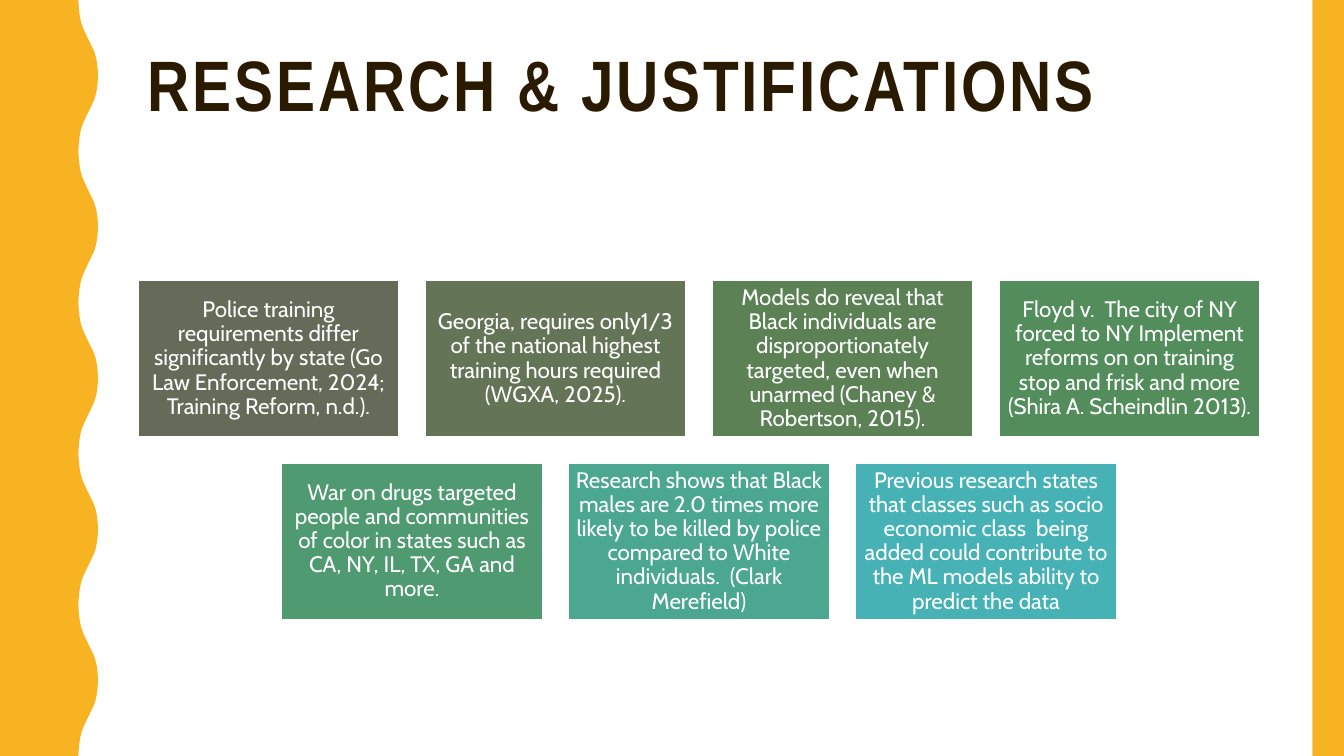
from pptx import Presentation
from pptx.dml.color import RGBColor
from pptx.enum.shapes import MSO_SHAPE
from pptx.enum.text import MSO_ANCHOR, PP_ALIGN
from pptx.util import Pt

COLORS = {
    "gold": "F8B323",
    "brown": "2A1A00",
    "white": "FFFFFF",
    "cards": ["656A59", "647557", "5B8155", "528D5B", "4F9A70", "4BA78F", "46B2B5"],
}
FINDINGS = [
    "Police training requirements differ significantly by state (Go Law Enforcement, 2024; Training Reform, n.d.).",
    "Georgia, requires only1/3 of the national highest training hours required (WGXA, 2025).",
    "Models do reveal that Black individuals are disproportionately targeted, even when unarmed (Chaney & Robertson, 2015).",
    "Floyd v.  The city of NY forced to NY Implement reforms on on training stop and frisk and more (Shira A. Scheindlin 2013).",
    "War on drugs targeted people and communities of color in states such as CA, NY, IL, TX, GA and more.",
    "Research shows that Black males are 2.0 times more likely to be killed by police compared to White individuals.  (Clark Merefield)",
    "Previous research states that classes such as socio economic class  being added could contribute to the ML models ability to predict the data",
]
SLIDE_W, SLIDE_H = 960, 540


def paint(shape, color):
    shape.shadow.inherit = False
    shape.fill.solid()
    shape.fill.fore_color.rgb = RGBColor.from_string(color)
    shape.line.fill.background()


def write(shape, text, font, size, color):
    """Put one wrapped paragraph in the shape and return its paragraph and run."""
    tf = shape.text_frame
    tf.word_wrap = True
    tf.text = text
    p = tf.paragraphs[0]
    p.line_spacing = 0.9
    r = p.runs[0]
    r.font.name = font
    r.font.size = Pt(size)
    r.font.color.rgb = RGBColor.from_string(color)
    return p, r


prs = Presentation()
prs.slide_width, prs.slide_height = Pt(SLIDE_W), Pt(SLIDE_H)
s = prs.slides.add_slide(prs.slide_layouts[6])

# Wavy left band: half a wave in tenths of a point, mirrored and repeated
half = [(560, 0), (563, 50), (568, 100), (576, 144), (586, 180), (598, 210),
        (612, 240), (626, 270), (641, 300), (655, 330), (670, 360),
        (682, 396), (692, 440), (698, 490), (700, 540)]
period = 1080
wave = half + [(x, period - y) for x, y in half[-2::-1]]
edge = [(x, y + i * period) for i in range(5) for x, y in wave]
band = s.shapes.build_freeform(0, 0, scale=Pt(0.1))
band.add_line_segments(edge + [(0, SLIDE_H * 10)], close=True)
paint(band.convert_to_shape(), COLORS["gold"])

bar_w = 22.5
bar = s.shapes.add_shape(MSO_SHAPE.RECTANGLE, Pt(SLIDE_W - bar_w), Pt(0), Pt(bar_w), Pt(SLIDE_H))
paint(bar, COLORS["gold"])

left, content_w = 98.6, 801.5
title = s.shapes.add_textbox(Pt(left), Pt(30), Pt(content_w), Pt(117))
title.text_frame.vertical_anchor = MSO_ANCHOR.TOP
title.text_frame.margin_top = Pt(5.4)
p, r = write(title, "RESEARCH & JUSTIFICATIONS", "Arial Narrow", 51, COLORS["brown"])
r.font.bold = True
r.font._element.set("spc", "200")

# Cards: four above, three centred below; height and gap follow from the width
per_row = 4
card_w = content_w / (per_row + 0.1 * (per_row - 1))
card_h, gap = 0.6 * card_w, 0.1 * card_w
for i, (finding, color) in enumerate(zip(FINDINGS, COLORS["cards"])):
    row, col = divmod(i, per_row)
    count = min(per_row, len(FINDINGS) - row * per_row)
    x = left + (col + (per_row - count) / 2) * (card_w + gap)
    y = 200.3 + row * (card_h + gap)
    card = s.shapes.add_shape(MSO_SHAPE.RECTANGLE, Pt(x), Pt(y), Pt(card_w), Pt(card_h))
    paint(card, color)
    card.line.color.rgb = RGBColor.from_string(COLORS["white"])
    card.line.width = Pt(1)
    tf = card.text_frame
    tf.vertical_anchor = MSO_ANCHOR.MIDDLE
    tf.margin_left = tf.margin_right = tf.margin_top = tf.margin_bottom = Pt(4.8)
    p, r = write(card, finding, "Cabin", 16, COLORS["white"])
    p.alignment = PP_ALIGN.CENTER

prs.save("out.pptx")
